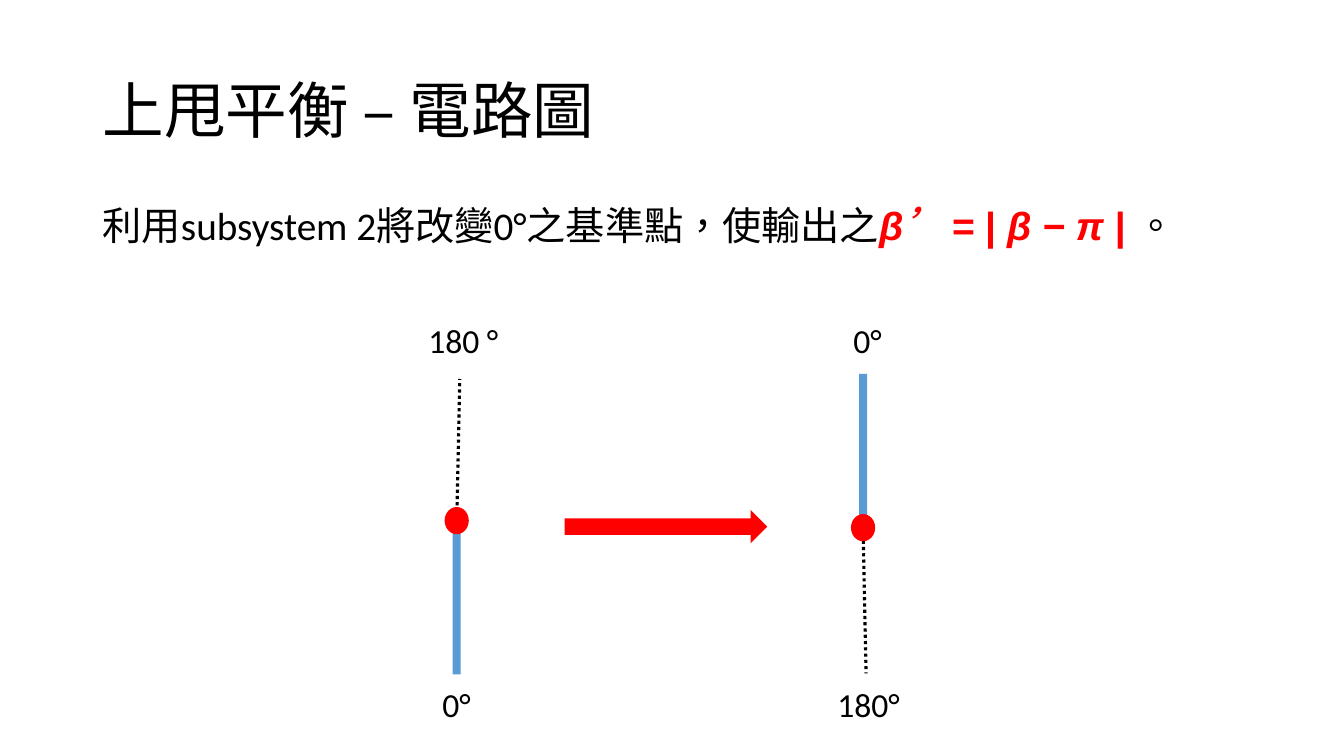
"""Build the slide on shifting the zero-degree reference of a swing-up pendulum."""
from pptx import Presentation
from pptx.dml.color import RGBColor
from pptx.enum.dml import MSO_LINE
from pptx.enum.shapes import MSO_CONNECTOR, MSO_SHAPE as SHAPE
from pptx.enum.text import MSO_ANCHOR as ANCHOR, PP_ALIGN as ALIGN
from pptx.oxml.ns import qn
from pptx.util import Inches, Pt

BLACK = RGBColor(0x00, 0x00, 0x00)
WHITE = RGBColor(0xFF, 0xFF, 0xFF)
RED = RGBColor(0xFF, 0x00, 0x00)
BLUE = RGBColor(0x5B, 0x9B, 0xD5)

prs = Presentation()
prs.slide_width, prs.slide_height = Inches(13.33), Inches(7.5)
s = prs.slides.add_slide(prs.slide_layouts[6])


def add_runs(p, runs, size):
    for text, look in runs:
        r = p.add_run()
        r.text = text
        look = {"name": "Calibri", "size": Pt(size), "color": BLACK, **look}
        r.font.color.rgb = look.pop("color")
        for key, value in look.items():
            setattr(r.font, key, value)
        r._r.get_or_add_rPr().set("lang", "zh-TW")


def add_filled(kind, x, y, w, h, color):
    sp = s.shapes.add_shape(kind, Inches(x), Inches(y), Inches(w), Inches(h))
    sp.shadow.inherit = False
    sp.fill.solid()
    sp.fill.fore_color.rgb = color
    sp.line.fill.background()
    return sp


formula = {"name": "Arial", "color": RED, "bold": True, "italic": True}
upright = {**formula, "italic": False}
sentence = [
    ("利用subsystem 2將改變0°之基準點，使輸出之", {}),
    ("β", formula),
    ("’", {**formula, "name": "Calibri"}),
    (" = ", formula),
    ("|", upright),
    (" β − π ", formula),
    ("| ", upright),
    ("。", {}),
]
title = [("上甩平衡 – 電路圖", {})]

for y, h, anchor, size, before, runs in [
    (0.4, 1.45, ANCHOR.MIDDLE, 44, 0, title),
    (2, 4.76, ANCHOR.TOP, 28, 10, sentence),
]:
    tf = s.shapes.add_textbox(Inches(0.92), Inches(y), Inches(11.5), Inches(h)).text_frame
    tf.word_wrap = True
    tf.vertical_anchor = anchor
    p = tf.paragraphs[0]
    p.line_spacing = 0.9
    p.space_before = Pt(before)
    add_runs(p, runs, size)

for pivot_x, pivot_y, rod_y, dots_x, dots_y, dots_end in [
    (4.53, 5.17, 5.27, 4.56, 5.2, 3.76),
    (8.56, 5.24, 3.71, 8.59, 5.24, 6.68),
]:
    add_filled(SHAPE.RECTANGLE, pivot_x - 0.04, rod_y, 0.08, 1.42, BLUE)
    dots = s.shapes.add_connector(
        MSO_CONNECTOR.STRAIGHT, Inches(pivot_x), Inches(dots_y), Inches(dots_x), Inches(dots_end)
    )
    dots.line.color.rgb = BLACK
    dots.line.width = Pt(2.25)
    dots.line.dash_style = MSO_LINE.ROUND_DOT
    sp_pr = dots._element.spPr
    sp_pr.append(sp_pr.makeelement(qn("a:effectLst"), {}))
    add_filled(SHAPE.OVAL, pivot_x - 0.12, pivot_y - 0.14, 0.24, 0.27, RED)

for text, x, y, w, align in [
    ("180 °", 4.15, 3.12, 1.17, ALIGN.LEFT),
    ("0°", 4.29, 6.74, 0.87, ALIGN.LEFT),
    ("0°", 8.17, 3.12, 0.87, ALIGN.CENTER),
    ("180°", 8.03, 6.74, 1.17, ALIGN.CENTER),
]:
    tf = add_filled(SHAPE.RECTANGLE, x, y, w, 0.5, WHITE).text_frame
    tf.word_wrap = True
    tf.vertical_anchor = ANCHOR.TOP
    p = tf.paragraphs[0]
    p.alignment = align
    add_runs(p, [(text, {})], 24)

add_filled(SHAPE.RIGHT_ARROW, 5.6, 5.06, 2.01, 0.33, RED)

prs.save("out.pptx")
